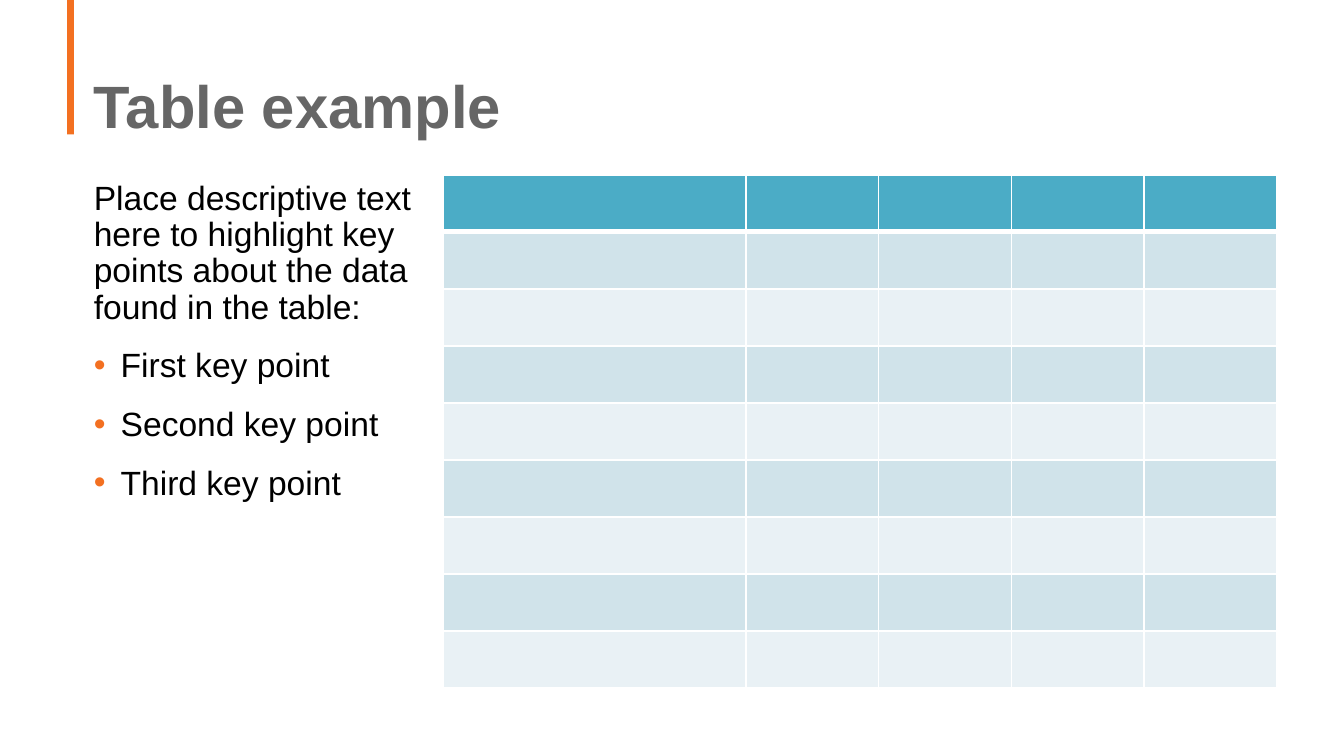
from dataclasses import dataclass

from lxml.etree import SubElement
from pptx import Presentation
from pptx.dml.color import RGBColor
from pptx.enum.shapes import MSO_SHAPE
from pptx.enum.text import MSO_ANCHOR
from pptx.oxml.ns import qn
from pptx.util import Inches, Pt

COLORS = {
    "accent": "F37021",
    "title": "666666",
    "text": "000000",
    "header": "4BACC6",
    "odd_row": "D0E3EA",
    "even_row": "E9F1F5",
    "border": "FFFFFF",
}
FONT = "Arial"
ROW_COUNT = 9
TABLE_WIDTH = 6.2
LABEL_WIDTH = 2.25
VALUE_COLUMNS = 4
COLUMN_WIDTHS = [LABEL_WIDTH] + [(TABLE_WIDTH - LABEL_WIDTH) / VALUE_COLUMNS] * VALUE_COLUMNS


@dataclass
class Line:
    text: str
    size: int = 18
    color: str = "text"
    bold: bool = False
    bullet: bool = False


@dataclass
class TextBlock:
    left: float
    top: float
    width: float
    height: float
    lines: list[Line]
    anchor: MSO_ANCHOR = MSO_ANCHOR.TOP


TEXT_BLOCKS = [
    TextBlock(0.6, 0.1, 8.9, 1, [Line("Table example", 32, "title", bold=True)], MSO_ANCHOR.BOTTOM),
    TextBlock(0.6, 1.3, 2.6, 3.8, [
        Line("Place descriptive text here to highlight key points about the data found in the table:"),
        Line("First key point", bullet=True),
        Line("Second key point", bullet=True),
        Line("Third key point", bullet=True),
    ]),
]


def rgb(name: str) -> RGBColor:
    return RGBColor.from_string(COLORS[name])


def add_bullet(paragraph) -> None:
    properties = paragraph._p.get_or_add_pPr()
    properties.set("marL", str(Inches(0.2)))
    properties.set("indent", str(-Inches(0.2)))
    color = SubElement(properties, qn("a:buClr"))
    SubElement(color, qn("a:srgbClr"), val=COLORS["accent"])
    SubElement(properties, qn("a:buFont"), typeface=FONT)
    SubElement(properties, qn("a:buChar"), char="•")


def add_text(page, block: TextBlock) -> None:
    box = page.shapes.add_textbox(
        Inches(block.left), Inches(block.top), Inches(block.width), Inches(block.height)
    )
    frame = box.text_frame
    frame.word_wrap = True
    frame.vertical_anchor = block.anchor
    for index, line in enumerate(block.lines):
        paragraph = frame.add_paragraph() if index else frame.paragraphs[0]
        paragraph.text = line.text
        if line.bullet:
            add_bullet(paragraph)
        paragraph.line_spacing = 0.9
        paragraph.space_before = Pt(12 if index else 0)
        paragraph.font.name = FONT
        paragraph.font.size = Pt(line.size)
        paragraph.font.bold = line.bold
        paragraph.font.color.rgb = rgb(line.color)


def style_cell(cell, row: int) -> None:
    properties = cell._tc.get_or_add_tcPr()
    top = 3 if row == 1 else 1
    bottom = 3 if row == 0 else 1
    for side, points in {"L": 1, "R": 1, "T": top, "B": bottom}.items():
        border = SubElement(properties, qn(f"a:ln{side}"), w=str(Pt(points)))
        fill = SubElement(border, qn("a:solidFill"))
        SubElement(fill, qn("a:srgbClr"), val=COLORS["border"])
    cell.fill.solid()
    if row == 0:
        cell.fill.fore_color.rgb = rgb("header")
    else:
        cell.fill.fore_color.rgb = rgb("odd_row" if row % 2 else "even_row")


def add_data_table(page) -> None:
    table = page.shapes.add_table(
        ROW_COUNT, len(COLUMN_WIDTHS), Inches(3.3), Inches(1.3), Inches(TABLE_WIDTH), Inches(3.82)
    ).table
    for column, width in zip(table.columns, COLUMN_WIDTHS):
        column.width = Inches(width)
    for index, row in enumerate(table.rows):
        for cell in row.cells:
            style_cell(cell, index)


def add_accent_bar(page) -> None:
    bar = page.shapes.add_shape(
        MSO_SHAPE.RECTANGLE, Inches(0.5), Inches(0), Inches(0.05), Inches(1)
    )
    bar.shadow.inherit = False
    bar.fill.solid()
    bar.fill.fore_color.rgb = rgb("accent")
    bar.line.fill.background()


def main() -> None:
    deck = Presentation()
    deck.slide_width = Inches(10)
    deck.slide_height = deck.slide_width * 9 // 16
    page = deck.slides.add_slide(deck.slide_layouts[6])
    add_accent_bar(page)
    for block in TEXT_BLOCKS:
        add_text(page, block)
    add_data_table(page)
    deck.save("out.pptx")


if __name__ == "__main__":
    main()
